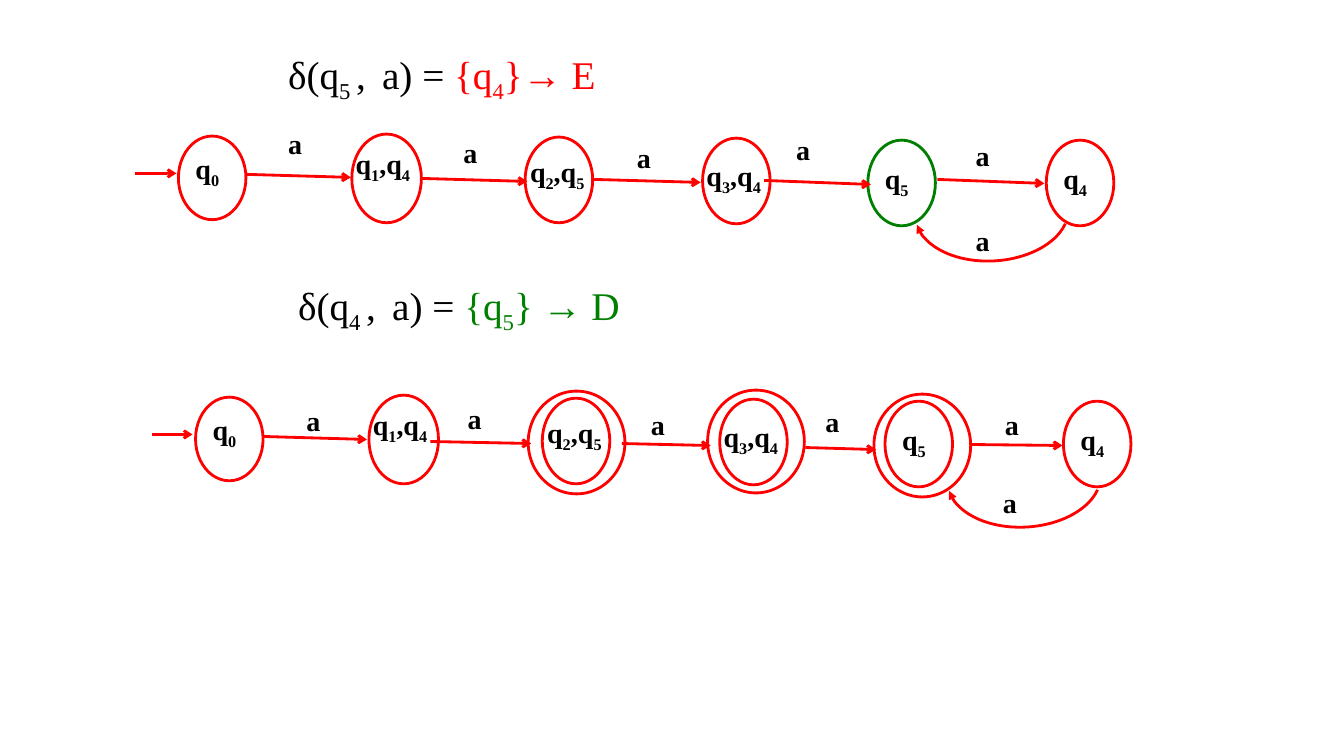
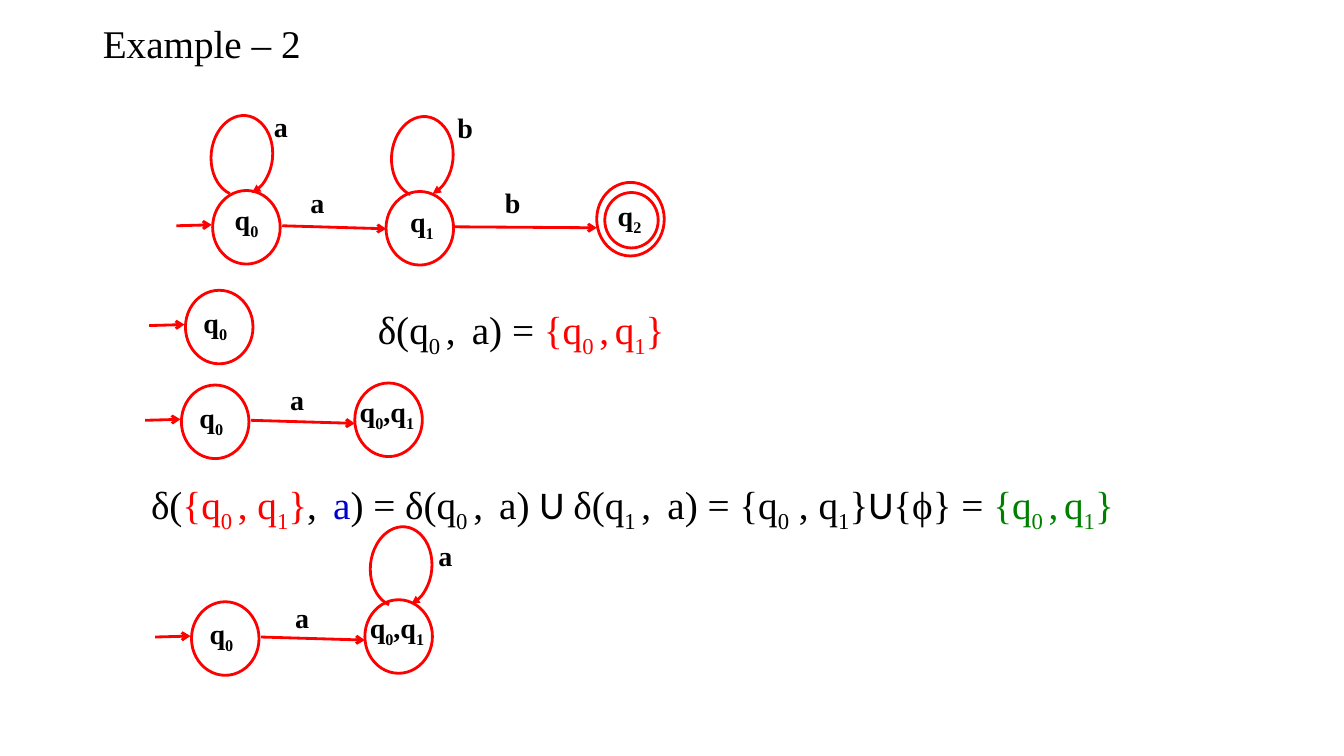
from typing import NamedTuple

from lxml.etree import SubElement
from pptx import Presentation
from pptx.dml.color import RGBColor
from pptx.enum.shapes import MSO_CONNECTOR, MSO_SHAPE
from pptx.enum.text import MSO_ANCHOR, MSO_AUTO_SIZE, PP_ALIGN
from pptx.oxml.ns import qn
from pptx.util import Inches, Pt

# One grid cell is a tenth of an inch; all positions are columns and rows.
CELL = Inches(0.1)
SLIDE_COLUMNS, SLIDE_ROWS = 133.33, 75

BLACK = RGBColor(0, 0, 0)
RED = RGBColor(255, 0, 0)
GREEN = RGBColor(0, 128, 0)
BLUE = RGBColor(0, 0, 204)
SERIF, SANS = "Times New Roman", "Calibri"
FORMULA_SIZE, LABEL_SIZE = Pt(28), Pt(20)
STROKE = Pt(2)
STATE_WIDTH = 6.7
ROUND_STATE_HEIGHT = 7.3


class Span(NamedTuple):
    """Text of one colour; every second part between bars is a subscript."""
    text: str
    color: RGBColor = BLACK
    font: str = SERIF
    tracking: int = 0


WIDE_COMMA = Span(", ", tracking=230)


def cells(*counts):
    return [round(count * CELL) for count in counts]


def write(box, spans, size, bold=False, line_spacing=1.0):
    frame = box.text_frame
    frame.word_wrap = True
    frame.auto_size = MSO_AUTO_SIZE.NONE
    frame.vertical_anchor = MSO_ANCHOR.TOP
    para = frame.paragraphs[0]
    para.alignment = PP_ALIGN.LEFT
    para.line_spacing = line_spacing
    para.space_before = Pt(0)
    for span in spans:
        for index, part in enumerate(span.text.split("|")):
            if not part:
                continue
            run = para.add_run()
            run.text = part
            run.font.name = span.font
            run.font.size = size
            run.font.bold = bold
            run.font.color.rgb = span.color
            properties = run._r.get_or_add_rPr()
            if index % 2:
                properties.set("baseline", "-25000")
            if span.tracking:
                properties.set("spc", str(span.tracking))


def add_formula(page, left, top, width, spans):
    box = page.shapes.add_textbox(*cells(left, top, width, 6))
    write(box, spans, FORMULA_SIZE, line_spacing=0.9)


def add_label(page, text, left, top, width=3.7, height=3.4):
    box = page.shapes.add_textbox(*cells(left, top, width, height))
    write(box, [Span(text)], LABEL_SIZE, bold=True)


def add_letters(page, letter, places):
    for left, top in places:
        add_label(page, letter, left, top)


def set_stroke(line, color=RED):
    line.color.rgb = color
    line.width = STROKE


def add_head(shape, kind):
    outline = shape._element.spPr.find(qn("a:ln"))
    SubElement(outline, qn("a:tailEnd"), type=kind)


def add_outline(page, preset, left, top, width, height, color=RED):
    shape = page.shapes.add_shape(preset, *cells(left, top, width, height))
    shape.shadow.inherit = False
    shape.fill.background()
    set_stroke(shape.line, color)
    return shape


def add_state(page, name, left, top, height, label, color=RED, width=STATE_WIDTH):
    """Draw a state; label is its name's shift right, shift down, width, height."""
    add_outline(page, MSO_SHAPE.OVAL, left, top, width, height, color)
    shift_right, shift_down, label_width, label_height = label
    add_label(page, name, left + shift_right, top + shift_down,
              label_width, label_height)


def add_arrow(page, left, top, right, bottom):
    arrow = page.shapes.add_connector(
        MSO_CONNECTOR.STRAIGHT, *cells(left, top, right, bottom))
    set_stroke(arrow.line)
    add_head(arrow, "arrow")
    SubElement(arrow._element.spPr, qn("a:effectLst"))


def add_curve(page, place, rotation, start, end):
    """Draw a turned arc with an arrowhead, clockwise between two angles."""
    curve = add_outline(page, MSO_SHAPE.ARC, *place)
    curve.rotation = rotation
    for index, angle in enumerate((start, end)):
        curve.adjustments[index] = angle * 0.6
    add_head(curve, "triangle")


def add_self_loop(page, left, top):
    add_curve(page, (left, top, 8, 6.1), 275.9, 191.8, 158.8)


def add_return(page, left, top):
    add_curve(page, (left, top, 9.6, 15.2), 86.7, 281.9, 84.1)


def add_six_states(page, left, top, marked):
    """Draw the row of six states; marked is the colour of q5."""
    states = [
        ("q|0|", 0, 0, 6.7, 8.3, (0.7, 1, 6.8, 5.9), RED),
        ("q|1|,q|4|", 17.2, -0.2, 6.9, 8.8, (-0.6, 0.7, 8.4, 5.9), RED),
        ("q|2|,q|5|", 34.4, 0.1, 6.7, 8.5, (-0.5, 1.2, 8.7, 6.3), RED),
        ("q|3|,q|4|", 52, 0.2, 6.7, 8.5, (-0.6, 1.5, 8.7, 6.3), RED),
        ("q|5|", 68.4, 0.4, 6.7, 8.5, (0.7, 1.6, 5.8, 6.3), marked),
        ("q|4|", 86.1, 0.4, 6.7, 8.5, (0.7, 1.6, 5.8, 6.3), RED),
    ]
    for name, column, row, width, height, label, color in states:
        add_state(page, name, left + column, top + row, height, label, color, width)


def add_start_state(page, left, top, shift=(0.8, 1)):
    add_state(page, "q|0|", left, top, ROUND_STATE_HEIGHT, (*shift, 6.8, 5.2))
    add_arrow(page, left - 3.6, top + 3.5, left - 0.1, top + 3.4)


def add_step(page, left, top, name, label, rise=0.2):
    """Add the arrow from the start state at left, top and the state it reaches."""
    add_arrow(page, left + 6.9, top + 3.5, left + 17.2, top + 3.8)
    add_state(page, name, left + 17.2, top - rise, ROUND_STATE_HEIGHT, label)


def build_marking_page(deck):
    page = deck.slides.add_slide(deck.slide_layouts[6])
    add_formula(page, 27.6, 4.6, 50, [
        Span("δ(q|5 |"), WIDE_COMMA, Span("a) = "), Span("{q|4|}→ E", RED)])
    add_six_states(page, 17.7, 13.5, GREEN)
    for ends in [(13.4, 17.2, 17.5, 17.2), (24.5, 17.3, 34.8, 17.6),
                 (41.7, 17.7, 52.3, 18), (58.9, 17.8, 69.5, 18.1),
                 (75.8, 17.9, 86.4, 18.3), (93, 17.8, 103.6, 18.2)]:
        add_arrow(page, *ends)
    add_return(page, 93.6, 13.5)
    add_letters(page, "a", [(27.6, 12.1), (45, 13), (62.2, 13.4),
                            (78, 12.7), (95.8, 13.2), (95.8, 21.7)])

    add_formula(page, 28.6, 27.5, 50, [
        Span("δ(q|4 |"), WIDE_COMMA, Span("a) = "), Span("{q|5|} → D", GREEN)])
    add_six_states(page, 19.4, 39.4, RED)
    for left, top in [(52.4, 38.8), (70.2, 38.7), (86.7, 39.1)]:
        add_outline(page, MSO_SHAPE.OVAL, left, top, 9.6, 10.2)
    for ends in [(15.1, 43.1, 19.1, 43.1), (26.1, 43.3, 36.4, 43.6),
                 (42.7, 43.8, 52.7, 44), (61.7, 44, 70.5, 44.2),
                 (79.9, 44.4, 86.9, 44.6), (96.4, 44.1, 105.4, 44.2)]:
        add_arrow(page, *ends)
    add_return(page, 96.8, 39.9)
    add_letters(page, "a", [(29.4, 39.5), (45.4, 39.3), (63.6, 39.9),
                            (80.9, 39.6), (98.7, 39.9), (98.5, 47.7)])


def build_example_page(deck):
    page = deck.slides.add_slide(deck.slide_layouts[5])
    title = page.shapes.title
    title.left, title.top, title.width, title.height = cells(9.2, 1.9, 115, 6)
    write(title, [Span("Example – 2")], FORMULA_SIZE, line_spacing=0.9)

    add_start_state(page, 21.1, 18.9, (1.2, 0.7))
    add_step(page, 21.1, 18.9, "q|1|", (1.4, 0.8, 6.8, 5.2), rise=-0.1)
    add_arrow(page, 45, 22.5, 59.2, 22.6)
    add_state(page, "q|2|", 59.2, 18.1, ROUND_STATE_HEIGHT, (1.1, 1.1, 6.8, 5.2))
    add_outline(page, MSO_SHAPE.OVAL, 60, 19.1, 5.3, 5.5)
    add_self_loop(page, 20, 12.4)
    add_self_loop(page, 37.9, 12.5)
    add_letters(page, "a", [(26.2, 10.4), (29.8, 17.9)])
    add_letters(page, "b", [(44.4, 10.5), (49.1, 17.9)])

    add_start_state(page, 18.4, 28.8)
    add_formula(page, 36.5, 29.9, 40, [
        Span("δ(q|0 |"), WIDE_COMMA, Span("a) = "),
        Span("{q|0 |,| |q|1|}", RED)])

    for left, top in [(18, 38.2), (19, 59.7)]:
        add_start_state(page, left, top)
        add_step(page, left, top, "q|0|,q|1|", (-0.5, 0.6, 8.4, 5.2))
    add_self_loop(page, 35.8, 53.2)
    add_letters(page, "a", [(27.8, 37.5), (28.3, 59.1), (42.5, 52.9)])

    add_formula(page, 14, 47.2, 105, [
        Span("δ("), Span("{q|0 |, q|1|}", RED), WIDE_COMMA, Span("a", BLUE),
        Span(") = δ(q|0 |"), WIDE_COMMA, Span("a) "), Span("U ", font=SANS),
        Span("δ(q|1 |"), WIDE_COMMA, Span("a) = {q|0| , q|1|}"),
        Span("U", font=SANS), Span("{ϕ} = "), Span("{q|0 |,| |q|1|}", GREEN)])


def main():
    deck = Presentation()
    deck.slide_width, deck.slide_height = cells(SLIDE_COLUMNS, SLIDE_ROWS)
    build_marking_page(deck)
    build_example_page(deck)
    deck.save("out.pptx")


if __name__ == "__main__":
    main()
